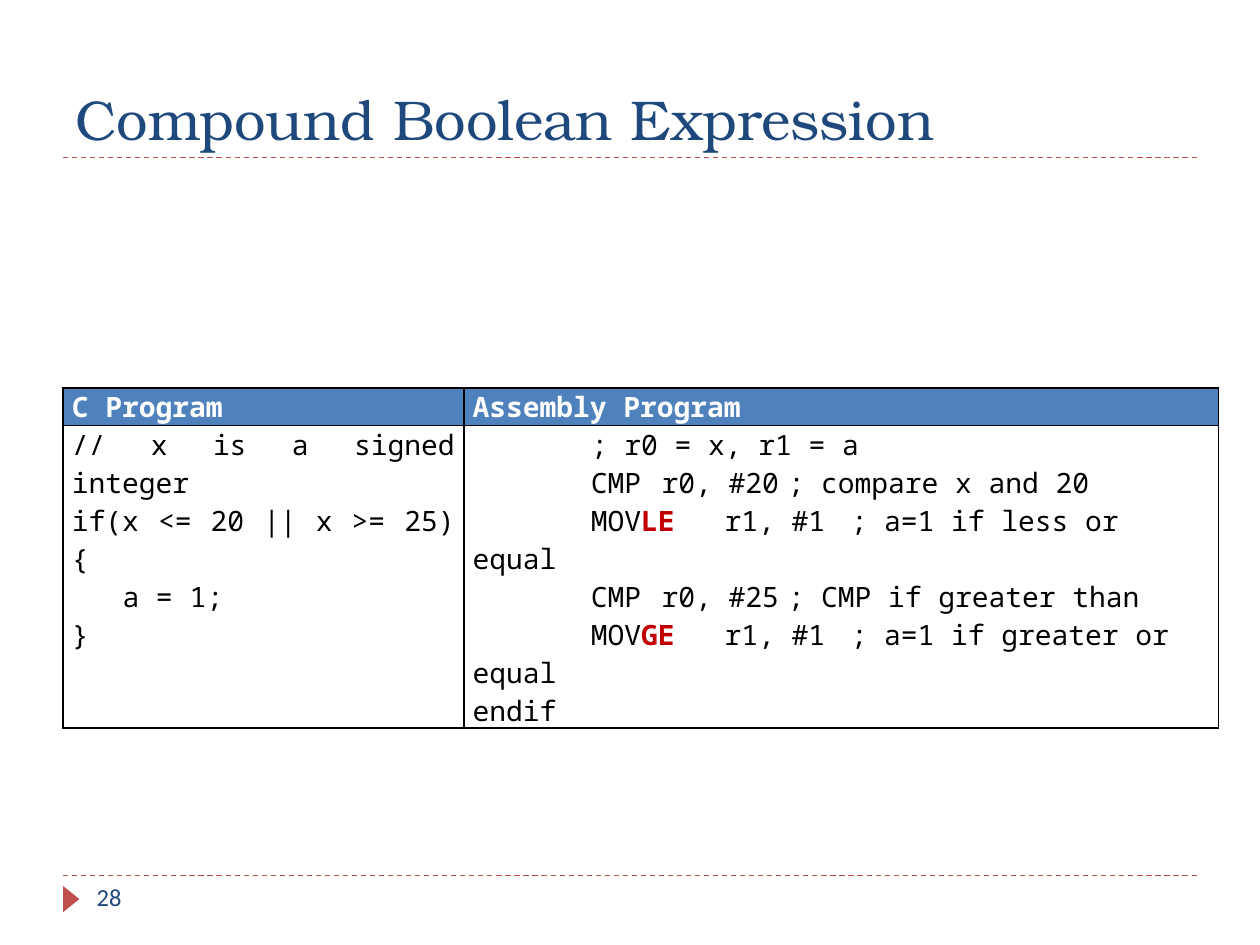
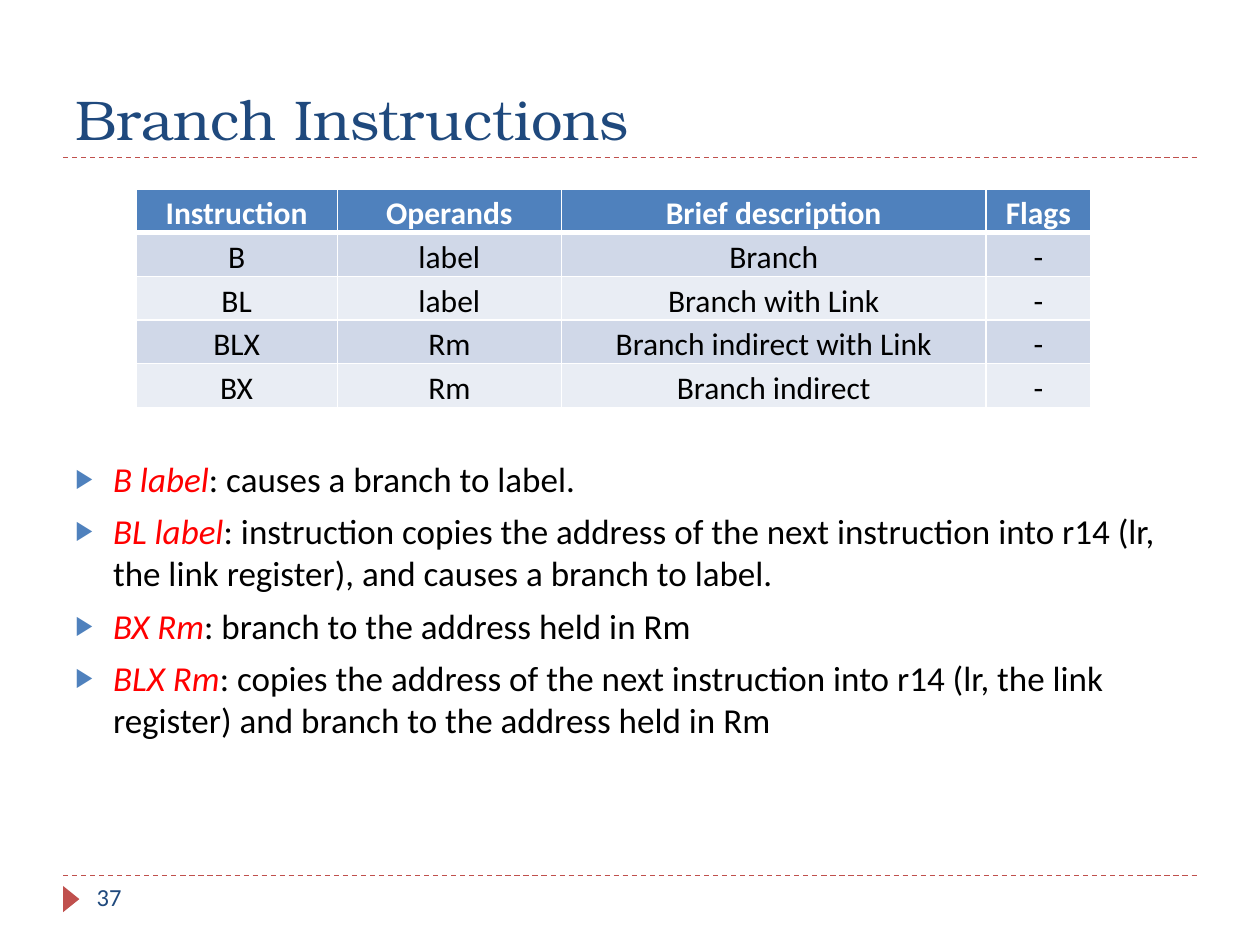
from dataclasses import dataclass

from lxml import etree
from pptx import Presentation
from pptx import util as u
from pptx.dml.color import RGBColor
from pptx.enum import dml, shapes, text
from pptx.oxml.ns import qn


@dataclass(frozen=True)
class Theme:
    navy: str = "1F497D"
    blue: str = "4F81BD"
    brick: str = "C0504D"
    red: str = "FF0000"
    dark_red: str = "C00000"
    black: str = "000000"
    white: str = "FFFFFF"
    bands: tuple = ("D0D8E8", "E9EDF4")
    title_font: str = "TeX Gyre Bonum"
    body_font: str = "Calibri"
    code_font: str = "Noto Sans Mono"
    title_size: int = 32
    body_size: int = 20
    table_size: int = 18
    code_size: int = 16
    number_size: int = 14


T = Theme()
TITLE = dict(name=T.title_font, size=T.title_size, color=T.navy)
NUMBER = dict(name=T.body_font, size=T.number_size, color=T.navy)
BODY = dict(name=T.body_font, size=T.body_size, color=T.black)
TERM = dict(BODY, color=T.red, italic=True)
CELL = dict(name=T.body_font, size=T.table_size, color=T.black, bold=False)
HEAD = dict(CELL, color=T.white, bold=True)
CODE = dict(CELL, name=T.code_font, size=T.code_size)
CODE_HEAD = dict(CODE, color=T.white, bold=True)
CONDITION = dict(CODE, color=T.dark_red, bold=True)

LEFT, WIDTH = 1.27, 22.86
TITLE_RULE, FOOTER_RULE = 3.18, 17.65
CHAR = 0.34
OPERAND_TAB, COMMENT_TAB = 13 * CHAR, 22 * CHAR

C_CODE = [
    (0, "// x is a signed integer"),
    (0, "if(x <= 20 || x >= 25){"),
    (3, "a = 1;"),
    (0, "}"),
]
ASSEMBLY_CODE = [
    (7, "; r0 = x, r1 = a"),
    (7, "CMP\tr0, #20\t; compare x and 20"),
    (7, "MOV", "LE", "\tr1, #1\t; a=1 if less or equal"),
    (7, "CMP\tr0, #25\t; CMP if greater than"),
    (7, "MOV", "GE", "\tr1, #1\t; a=1 if greater or equal"),
    (0, "endif"),
]
BRANCHES = [
    ("Instruction", "Operands", "Brief description", "Flags"),
    ("B", "label", "Branch", "-"),
    ("BL", "label", "Branch with Link", "-"),
    ("BLX", "Rm", "Branch indirect with Link", "-"),
    ("BX", "Rm", "Branch indirect", "-"),
]
EXPLANATIONS = [
    ("B label", ": causes a branch to label."),
    ("BL label", ": instruction copies the address of the next instruction into "
                 "r14 (lr, the link register), and causes a branch to label."),
    ("BX Rm", ": branch to the address held in Rm"),
    ("BLX Rm", ": copies the address of the next instruction into r14 "
               "(lr, the link register) and branch to the address held in Rm"),
]


def apply(obj, **values):
    for key, value in values.items():
        setattr(obj, key, value)


def sub(parent, tag, **attrs):
    el = etree.SubElement(parent, qn(tag))
    for key, value in attrs.items():
        el.set(key, str(value))
    return el


def add_run(p, content, style):
    r = p.add_run()
    r.text = content
    for key, value in style.items():
        if key == "color":
            r.font.color.rgb = RGBColor.from_string(value)
        else:
            setattr(r.font, key, u.Pt(value) if key == "size" else value)


def paragraph(tf, first, runs, **fmt):
    p = tf.paragraphs[0] if first else tf.add_paragraph()
    apply(p, **fmt)
    for content, style in runs:
        add_run(p, content, style)
    return p


def indent(p, margin, first_line):
    pPr = p._p.get_or_add_pPr()
    pPr.set("marL", str(u.Cm(margin)))
    pPr.set("indent", str(u.Cm(first_line)))
    return pPr


def bullet(p):
    pPr = indent(p, 0.76, -0.76)
    sub(sub(pPr, "a:buClr"), "a:srgbClr", val=T.blue)
    sub(pPr, "a:buSzPct", val=76000)
    sub(pPr, "a:buFont", typeface=T.body_font)
    sub(pPr, "a:buChar", char="▶")


def text_box(s, box, anchor=text.MSO_ANCHOR.TOP):
    tf = s.shapes.add_textbox(*map(u.Cm, box)).text_frame
    apply(tf, word_wrap=True, vertical_anchor=anchor)
    return tf


def rule(s, y):
    ln = s.shapes.add_connector(shapes.MSO_CONNECTOR.STRAIGHT, u.Cm(LEFT), u.Cm(y),
                                u.Cm(LEFT + WIDTH), u.Cm(y))
    ln.line.color.rgb = RGBColor.from_string(T.brick)
    apply(ln.line, width=u.Pt(0.75), dash_style=dml.MSO_LINE.DASH)
    sub(ln._element.spPr, "a:effectLst")


def page(prs, title, number):
    s = prs.slides.add_slide(prs.slide_layouts[6])
    rule(s, FOOTER_RULE)
    rule(s, TITLE_RULE)
    sp = s.shapes.add_shape(shapes.MSO_SHAPE.ISOSCELES_TRIANGLE,
                            *map(u.Cm, (1.17, 17.96, 0.53, 0.33)))
    sp.rotation = 90
    sp.shadow.inherit = False
    sp.fill.solid()
    sp.fill.fore_color.rgb = RGBColor.from_string(T.brick)
    sp.line.fill.background()
    tf = text_box(s, (LEFT, 0.43, WIDTH, TITLE_RULE - 0.43), text.MSO_ANCHOR.BOTTOM)
    paragraph(tf, True, [(title, TITLE)])
    tf = text_box(s, (1.7, FOOTER_RULE, 5.51, 1.02))
    paragraph(tf, True, [(str(number), NUMBER)])
    return s


def add_table(s, left, top, cols, rows):
    tbl = s.shapes.add_table(len(rows), len(cols), u.Cm(left), u.Cm(top),
                             u.Cm(sum(cols)), u.Cm(sum(rows))).table
    apply(tbl, first_row=False, horz_banding=False)
    for col, width in zip(tbl.columns, cols):
        col.width = u.Cm(width)
    for row, height in zip(tbl.rows, rows):
        row.height = u.Cm(height)
    return tbl


def format_cell(cell, fill, border, top=1, bottom=1, anchor=text.MSO_ANCHOR.TOP):
    apply(cell, margin_left=u.Cm(0.18), margin_right=u.Cm(0.18),
          margin_top=0, margin_bottom=0, vertical_anchor=anchor)
    tcPr = cell._tc.get_or_add_tcPr()
    for side, width in zip("LRTB", (1, 1, top, bottom)):
        ln = sub(tcPr, f"a:ln{side}", w=u.Pt(width))
        sub(sub(ln, "a:solidFill"), "a:srgbClr", val=border)
    if fill:
        cell.fill.solid()
        cell.fill.fore_color.rgb = RGBColor.from_string(fill)
    else:
        cell.fill.background()


def code_cell(cell, lines, align):
    format_cell(cell, None, T.black)
    for i, (spaces, *parts) in enumerate(lines):
        runs = zip(parts, (CODE, CONDITION, CODE))
        p = paragraph(cell.text_frame, i == 0, runs, alignment=align)
        pPr = indent(p, 0, spaces * CHAR)
        if "\t" in parts[-1]:
            tabs = sub(pPr, "a:tabLst")
            for pos in (OPERAND_TAB, COMMENT_TAB):
                sub(tabs, "a:tab", pos=u.Cm(pos), algn="l")


def code_table(s):
    tbl = add_table(s, LEFT, 7.82, (8.08, 15.21), (0.76, 6.1))
    justify, left = text.PP_ALIGN.JUSTIFY, text.PP_ALIGN.LEFT
    columns = [("C Program", C_CODE, justify), ("Assembly Program", ASSEMBLY_CODE, left)]
    for c, (heading, lines, align) in enumerate(columns):
        head = tbl.cell(0, c)
        format_cell(head, T.blue, T.black)
        paragraph(head.text_frame, True, [(heading, CODE_HEAD)], alignment=justify)
        code_cell(tbl.cell(1, c), lines, align)


def branch_table(s):
    tbl = add_table(s, 2.74, 3.81, (4.06, 4.52, 8.56, 2.11), [0.88] * len(BRANCHES))
    for r, row in enumerate(BRANCHES):
        fill = T.bands[(r - 1) % 2] if r else T.blue
        anchor = text.MSO_ANCHOR.BOTTOM if r == 1 else text.MSO_ANCHOR.MIDDLE
        for c, content in enumerate(row):
            cell = tbl.cell(r, c)
            format_cell(cell, fill, T.white, top=3 if r == 1 else 1,
                        bottom=1 if r else 3, anchor=anchor)
            paragraph(cell.text_frame, True, [(content, CELL if r else HEAD)],
                      alignment=text.PP_ALIGN.CENTER, line_spacing=1.15)


def explanation_list(s):
    tf = text_box(s, (LEFT, 9.09, WIDTH, 8))
    for i, (term, meaning) in enumerate(EXPLANATIONS):
        bullet(paragraph(tf, i == 0, [(term, TERM), (meaning, BODY)],
                         space_before=u.Pt(6)))


def main():
    prs = Presentation()
    apply(prs, slide_width=u.Cm(25.4), slide_height=u.Cm(19.05))
    code_table(page(prs, "Compound Boolean Expression", 28))
    s = page(prs, "Branch Instructions", 37)
    explanation_list(s)
    branch_table(s)
    prs.save("out.pptx")


if __name__ == "__main__":
    main()
